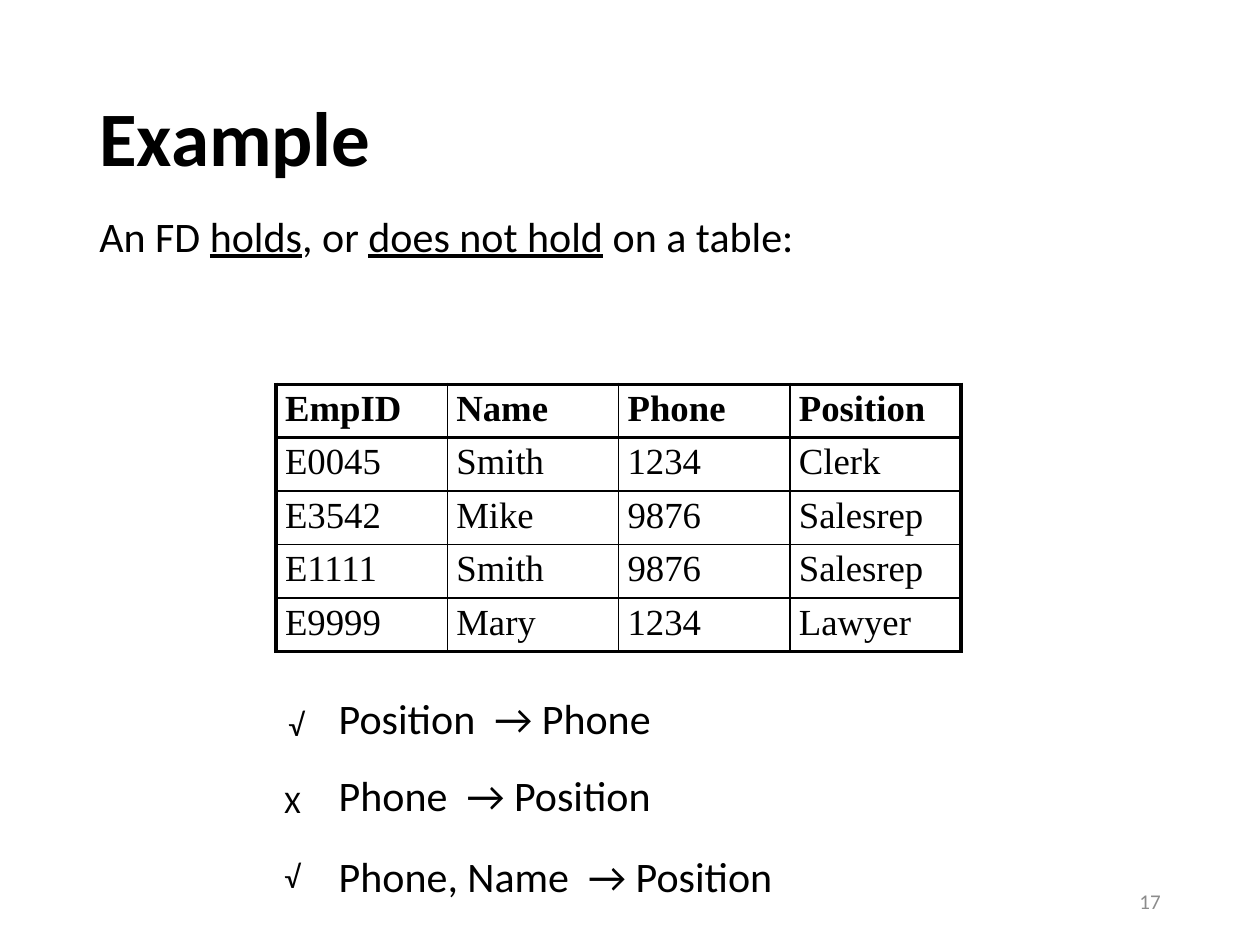
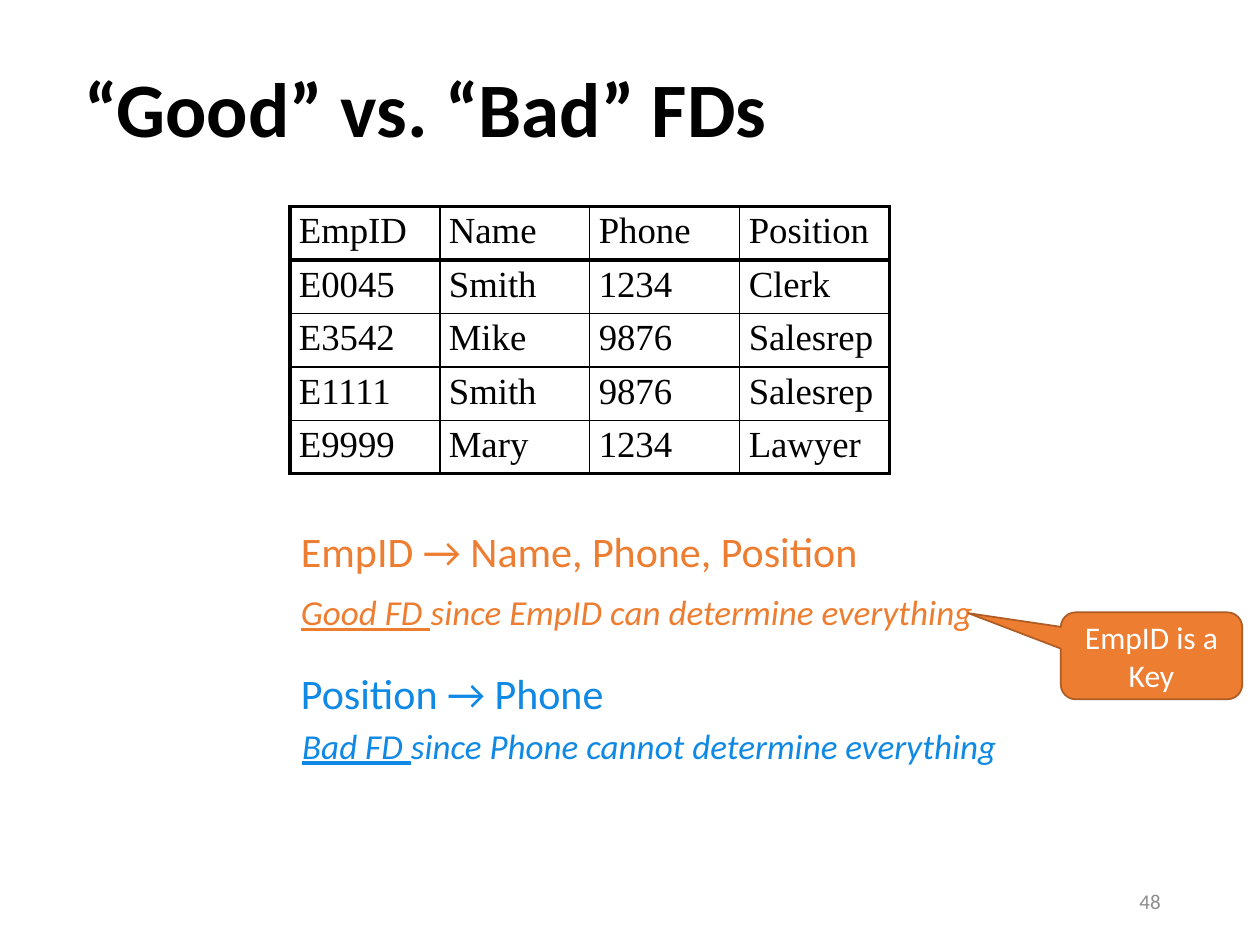
from lxml.etree import SubElement
from pptx import Presentation
from pptx.dml.color import RGBColor
from pptx.enum.shapes import MSO_SHAPE
from pptx.enum.text import MSO_ANCHOR, MSO_AUTO_SIZE, PP_ALIGN
from pptx.oxml.ns import qn
from pptx.util import Pt

BLACK = RGBColor(0x00, 0x00, 0x00)
WHITE = RGBColor(0xFF, 0xFF, 0xFF)
GREY = RGBColor(0x8C, 0x8C, 0x8C)
ORANGE = RGBColor(0xED, 0x7D, 0x31)
DARK_ORANGE = RGBColor(0xAF, 0x5C, 0x24)
BLUE = RGBColor(0x0F, 0x89, 0xE4)
BODY_FONT, TABLE_FONT = "Calibri", "Times New Roman"

EMPLOYEES = [
    ("EmpID", "Name", "Phone", "Position"),
    ("E0045", "Smith", "1234", "Clerk"),
    ("E3542", "Mike", "9876", "Salesrep"),
    ("E1111", "Smith", "9876", "Salesrep"),
    ("E9999", "Mary", "1234", "Lawyer"),
]
ROW_HEIGHT = 30.55
THICK, THIN = 2.25, 1

# A leading underscore marks an underlined piece of text.
INTRO = ["An FD ", "_holds", ", or ", "_does not hold", " on a table:"]

# dependency, top, width, then mark, its left and top
CHECKED_FDS = [
    ("Position  → Phone", 392.4, 196.6, "√", 157.7, 399.6),
    ("Phone  → Position", 436.3, 196.6, "X", 155.5, 443.5),
    ("Phone, Name  → Position", 482.4, 266.4, "√", 155.5, 486),
]

# pieces, left, top, width, size, colour, italic
RATED_FDS = [
    (["EmpID → Name, Phone, Position"], 164.9, 296.6, 337.7, 24, ORANGE, False),
    (["_Good FD ", "since EmpID can determine everything"],
     164.9, 334.1, 406.1, 20, ORANGE, True),
    (["Position → Phone"], 164.9, 378, 190.8, 24, BLUE, False),
    (["_Bad FD ", "since Phone cannot determine everything"],
     165.6, 410.4, 414, 20, BLUE, True),
]


def add_runs(p, pieces, size, color=BLACK, font=BODY_FONT, bold=False, italic=False):
    for piece in pieces:
        r = p.add_run()
        r.text = piece.removeprefix("_")
        f = r.font
        f.name, f.size, f.bold, f.italic = font, Pt(size), bold, italic
        f.underline = piece.startswith("_")
        f.color.rgb = color


def add_text(s, pieces, left, top, width, height, size, wrap=True, **style):
    sp = s.shapes.add_textbox(Pt(left), Pt(top), Pt(width), Pt(height))
    tf = sp.text_frame
    tf.word_wrap = wrap
    if not wrap:
        tf.auto_size = MSO_AUTO_SIZE.SHAPE_TO_FIT_TEXT
    add_runs(tf.paragraphs[0], pieces, size, **style)
    return tf


def new_slide(prs, title, title_box, number):
    """Add a blank slide with its title and page number."""
    s = prs.slides.add_slide(prs.slide_layouts[6])
    tf = add_text(s, [title], *title_box, 44, bold=True)
    tf.vertical_anchor = MSO_ANCHOR.MIDDLE
    tf.paragraphs[0].line_spacing = 0.9
    tf = add_text(s, [number], 508.3, 500.4, 162, 28.8, 12, color=GREY)
    tf.vertical_anchor = MSO_ANCHOR.MIDDLE
    tf.paragraphs[0].alignment = PP_ALIGN.RIGHT
    return s


def set_borders(cell, widths):
    tc_pr = cell._tc.get_or_add_tcPr()
    for side, width in widths.items():
        ln = SubElement(tc_pr, qn(f"a:ln{side}"), w=str(Pt(width)))
        fill = SubElement(ln, qn("a:solidFill"))
        SubElement(fill, qn("a:srgbClr"), val=str(BLACK))


def add_employee_table(s, left, top, col_width, bold_header):
    n_rows, n_cols = len(EMPLOYEES), len(EMPLOYEES[0])
    table = s.shapes.add_table(n_rows, n_cols, Pt(left), Pt(top),
                               Pt(col_width * n_cols), Pt(ROW_HEIGHT * n_rows)).table
    table.first_row = table.horz_banding = False
    for col in table.columns:
        col.width = Pt(col_width)
    for i, values in enumerate(EMPLOYEES):
        table.rows[i].height = Pt(ROW_HEIGHT)
        for j, value in enumerate(values):
            cell = table.cell(i, j)
            cell.margin_left = cell.margin_right = Pt(5.2)
            cell.margin_top = cell.margin_bottom = Pt(2.6)
            set_borders(cell, {
                "L": THICK if j == 0 else THIN,
                "R": THICK if j == n_cols - 1 else THIN,
                "T": THICK if i <= 1 else THIN,
                "B": THICK if i in (0, n_rows - 1) else THIN,
            })
            cell.fill.background()
            add_runs(cell.text_frame.paragraphs[0], [value], 21,
                     font=TABLE_FONT, bold=bold_header and i == 0)


def add_key_callout(s):
    sp = s.shapes.add_shape(MSO_SHAPE.ROUNDED_RECTANGULAR_CALLOUT,
                            Pt(606.2), Pt(349.9), Pt(103.7), Pt(49.7))
    for i, value in enumerate((-1.01, -0.49, 0.17)):
        sp.adjustments[i] = value
    sp.shadow.inherit = False
    sp.fill.solid()
    sp.fill.fore_color.rgb = ORANGE
    sp.line.color.rgb = DARK_ORANGE
    sp.line.width = Pt(1)
    tf = sp.text_frame
    tf.word_wrap = True
    tf.vertical_anchor = MSO_ANCHOR.MIDDLE
    p = tf.paragraphs[0]
    p.alignment = PP_ALIGN.CENTER
    add_runs(p, ["EmpID is a Key"], 18, color=WHITE)


def build_example(prs):
    s = new_slide(prs, "Example", (49.7, 28.8, 620.6, 104.4), "17")
    add_text(s, INTRO, 49.7, 116.6, 605.5, 36, 24)
    add_employee_table(s, 157.7, 219.6, 97.9, bold_header=True)
    for fd, top, width, mark, mark_left, mark_top in CHECKED_FDS:
        add_text(s, [fd], 186.5, top, width, 36, 24, wrap=False)
        add_text(s, [mark], mark_left, mark_top, 23.8, 28.8, 18, wrap=False)


def build_good_vs_bad(prs):
    s = new_slide(prs, "“Good” vs. “Bad” FDs", (41, 25.2, 629.3, 78.5), "48")
    add_employee_table(s, 165.6, 118.1, 85.7, bold_header=False)
    for pieces, left, top, width, size, color, italic in RATED_FDS:
        add_text(s, pieces, left, top, width, size * 1.5, size,
                 wrap=False, color=color, italic=italic)
    add_key_callout(s)


def main():
    prs = Presentation()
    prs.slide_width, prs.slide_height = Pt(720), Pt(540)
    build_example(prs)
    build_good_vs_bad(prs)
    prs.save("out.pptx")


if __name__ == "__main__":
    main()
